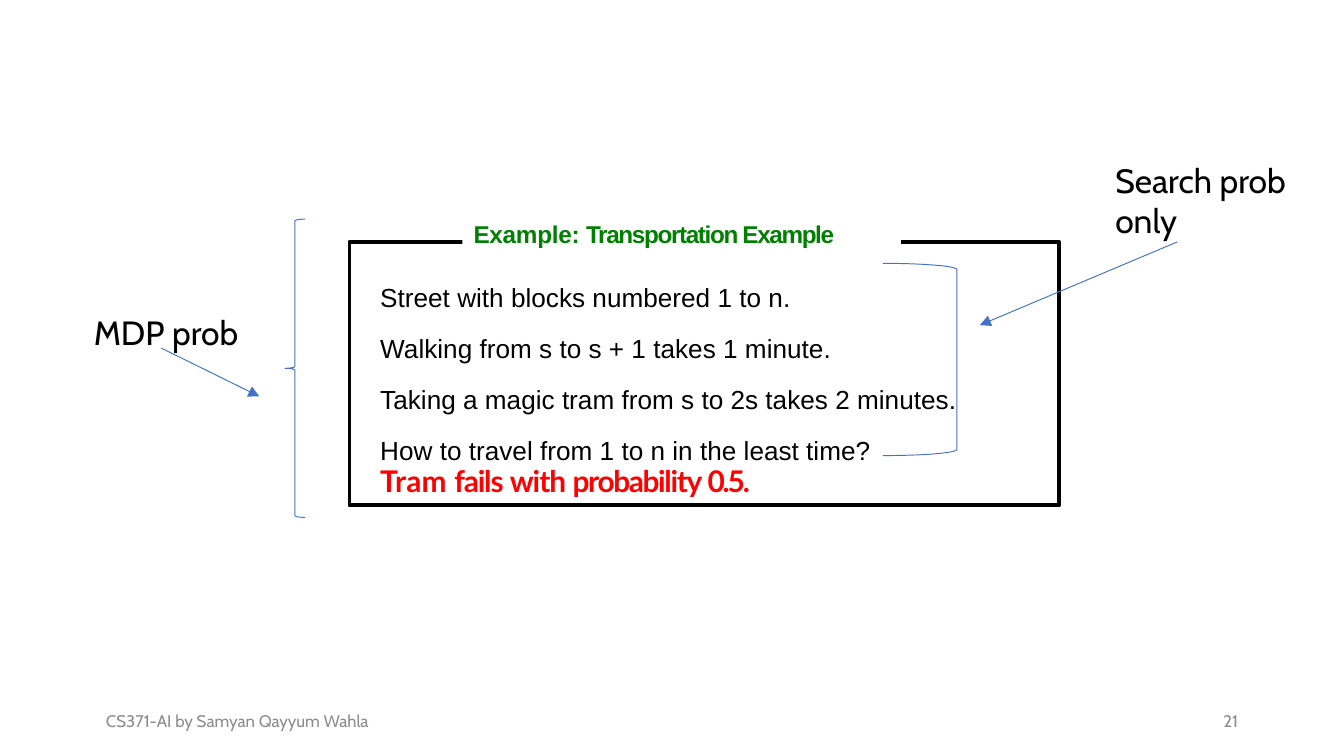
from collections import namedtuple
from dataclasses import dataclass

from lxml import etree
from pptx import Presentation
from pptx import util as u
from pptx.dml.color import RGBColor
from pptx.enum import shapes, text
from pptx.oxml import ns

Box = namedtuple("Box", "left top width height")
Span = namedtuple("Span", "words spacing")


@dataclass(frozen=True)
class Theme:
    """Colours, fonts and sizes of the slide."""
    ink: str = "000000"
    paper: str = "FFFFFF"
    grey: str = "8C8C8C"
    green: str = "008000"
    red: str = "FF0000"
    blue: str = "4472C4"
    label_font: str = "Cabin"
    body_font: str = "Arial"
    warning_font: str = "Lato"
    footer_size: float = 9
    title_size: float = 13
    body_size: float = 14
    warning_size: float = 16
    label_size: float = 18
    frame_line: float = 2
    thin_line: float = 0.5


THEME = Theme()


def points(values):
    """Turn numbers into lengths in points."""
    return [u.Pt(value) for value in values]


def write(para, spans, font, size, colour, bold=False):
    """Add spans of one style, each with its own letter spacing."""
    for span in spans:
        run = para.add_run()
        run.text = span.words
        run.font.name = font
        run.font.size = u.Pt(size)
        run.font.bold = bold
        run.font.color.rgb = RGBColor.from_string(colour)
        if span.spacing:
            run._r.get_or_add_rPr().set("spc", str(round(span.spacing * 100)))


def text_frame(page, box, insets=(7.2, 3.6, 7.2, 3.6), anchor=text.MSO_ANCHOR.TOP):
    """Add a wrapping text box and return its frame."""
    frame = page.shapes.add_textbox(*points(box)).text_frame
    frame.word_wrap = True
    frame.vertical_anchor = anchor
    (frame.margin_left, frame.margin_top,
     frame.margin_right, frame.margin_bottom) = points(insets)
    return frame


def outline(page, kind, box, colour, width):
    """Add an unfilled preset shape."""
    shape = page.shapes.add_shape(kind, *points(box))
    shape.shadow.inherit = False
    shape.fill.background()
    shape.line.color.rgb = RGBColor.from_string(colour)
    shape.line.width = u.Pt(width)


def arrow(page, start, end):
    """Draw a thin arrow from start to end."""
    line = page.shapes.add_connector(
        shapes.MSO_CONNECTOR.STRAIGHT, *points(start + end))
    line.line.color.rgb = RGBColor.from_string(THEME.blue)
    line.line.width = u.Pt(THEME.thin_line)
    head = etree.SubElement(line.line._get_or_add_ln(), ns.qn("a:tailEnd"))
    head.set("type", "triangle")
    etree.SubElement(line._element.spPr, ns.qn("a:effectLst"))


def footer(page, box, words, align):
    """Place one grey footer entry."""
    para = text_frame(page, box, anchor=text.MSO_ANCHOR.MIDDLE).paragraphs[0]
    para.alignment = align
    write(para, [Span(words, 0)], THEME.label_font, THEME.footer_size, THEME.grey)


def panel_title(page, box, spans):
    """Place the title on a plate that interrupts the panel frame."""
    plate = page.shapes.add_shape(shapes.MSO_SHAPE.RECTANGLE, *points(box))
    plate.shadow.inherit = False
    plate.fill.solid()
    plate.fill.fore_color.rgb = RGBColor.from_string(THEME.paper)
    plate.line.fill.background()
    frame = plate.text_frame
    frame.vertical_anchor = text.MSO_ANCHOR.TOP
    (frame.margin_left, frame.margin_top,
     frame.margin_right, frame.margin_bottom) = points((6, 0, 0, 0))
    para = frame.paragraphs[0]
    para.alignment = text.PP_ALIGN.LEFT
    write(para, spans, THEME.body_font, THEME.title_size, THEME.green, bold=True)


def example_panel(page, box, title, steps, warning):
    """Place the framed example with its title, steps and warning."""
    outline(page, shapes.MSO_SHAPE.RECTANGLE, box, THEME.ink, THEME.frame_line)
    panel_title(page, Box(box.left + 60.5, box.top - 12.2, 235, 23.8), title)
    text_left = box.left + 8.6
    frame = text_frame(page, Box(text_left, box.top + 10.8, 419, 105),
                       (7.9, 0.7, 0, 0))
    for index, step in enumerate(steps):
        para = frame.paragraphs[0] if index == 0 else frame.add_paragraph()
        para.line_spacing = 1.59
        if index:
            para.space_before = u.Pt(0.5)
        write(para, [Span(step, 0)], THEME.body_font, THEME.body_size, THEME.ink)
    frame = text_frame(page, Box(text_left, box.top + 114.5, 360, 26.6),
                       (7.9, 3.6, 7.2, 3.6))
    write(frame.paragraphs[0], warning, THEME.warning_font,
          THEME.warning_size, THEME.red, bold=True)


def callout(page, box, words, start, end, kind, span_box):
    """Place a label, its arrow and the bracket it points at."""
    outline(page, kind, span_box, THEME.blue, THEME.thin_line)
    arrow(page, start, end)
    write(text_frame(page, box).paragraphs[0], [Span(words, 0)],
          THEME.label_font, THEME.label_size, THEME.ink)


def main():
    """Build and save the slide."""
    deck = Presentation()
    deck.slide_width, deck.slide_height = points((720, 405))
    page = deck.slides.add_slide(deck.slide_layouts[6])
    footer(page, Box(49.7, 375.1, 162, 21.6),
           "CS371-AI by Samyan Qayyum Wahla", text.PP_ALIGN.LEFT)
    footer(page, Box(508.3, 375.1, 162, 21.6), "21", text.PP_ALIGN.RIGHT)
    example_panel(
        page, Box(187.2, 129.6, 380.2, 141.1),
        [Span("Example: ", -0.1), Span("Transportation Example", -0.7)],
        ["Street with blocks numbered 1 to n.",
         "Walking from s to s + 1 takes 1 minute.",
         "Taking a magic tram from s to 2s takes 2 minutes.",
         "How to travel from 1 to n in the least time?"],
        [Span("Tram ", 0.1), Span("fails ", -0.6), Span("with ", -0.5),
         Span("probability ", -0.7), Span("0.5.", -1.1)])
    callout(page, Box(590.4, 82.1, 129.6, 51.1), "Search prob only",
            (630.7, 129.6), (524.9, 174.2),
            shapes.MSO_SHAPE.RIGHT_BRACKET, Box(473, 141.1, 39.6, 103))
    callout(page, Box(43.2, 163.4, 111.6, 28.8), "MDP prob",
            (86.4, 186.5), (139, 212.4),
            shapes.MSO_SHAPE.LEFT_BRACE, Box(152.6, 117.4, 10.8, 159.8))
    deck.save("out.pptx")


if __name__ == "__main__":
    main()
